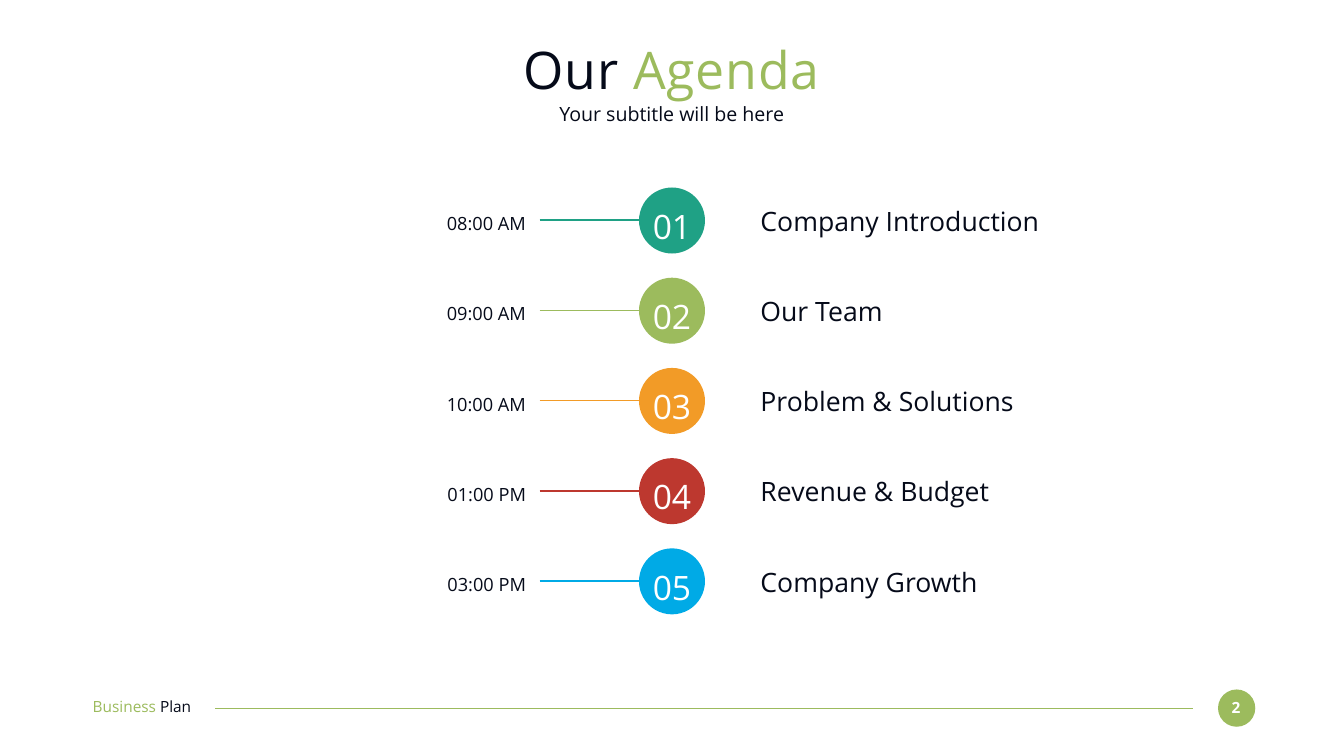
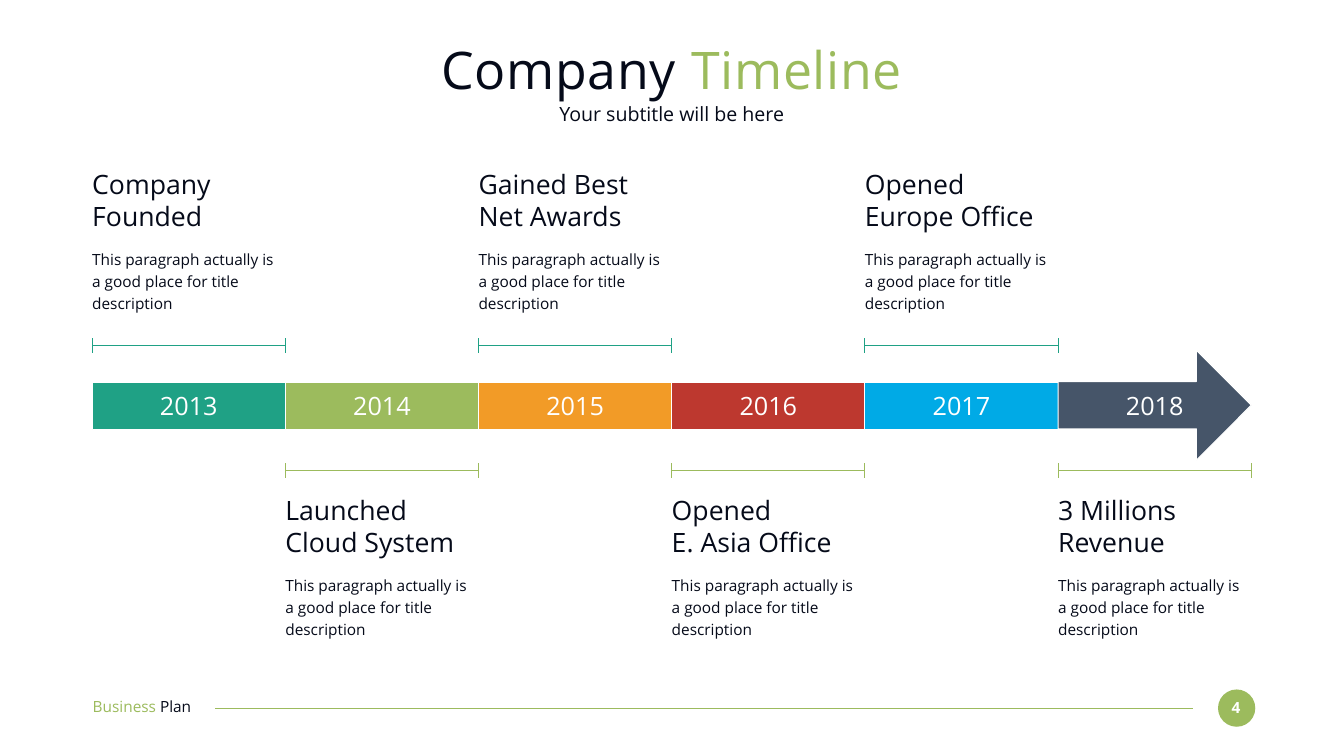
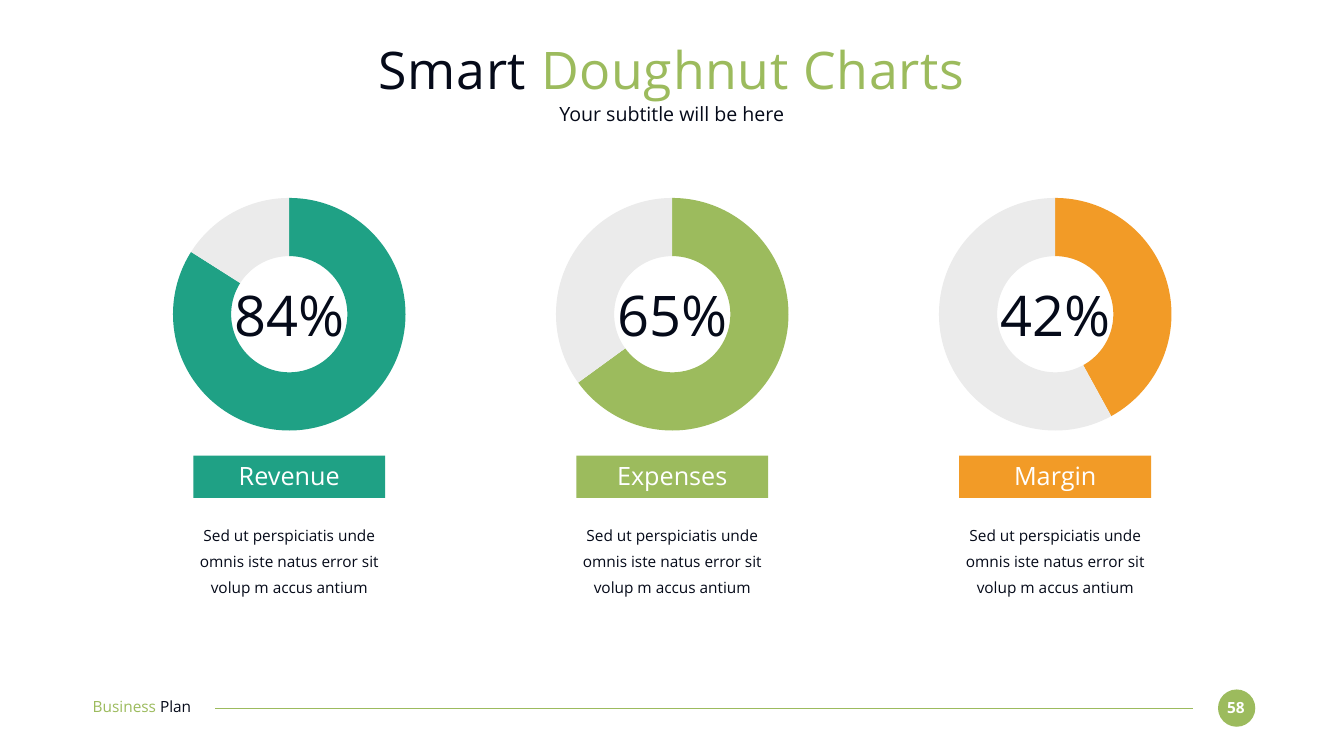
"""Build three business plan slides: agenda, timeline and doughnut charts."""
from lxml.etree import SubElement
from pptx import Presentation
from pptx.chart.data import CategoryChartData
from pptx.dml.color import RGBColor
from pptx.enum.chart import XL_CHART_TYPE as ChartType
from pptx.enum.shapes import MSO_CONNECTOR as Connector, MSO_SHAPE as Preset
from pptx.enum.text import MSO_ANCHOR as Anchor, MSO_AUTO_SIZE as AutoSize, PP_ALIGN as Align
from pptx.oxml.ns import qn
from pptx.util import Inches, Pt

COLORS = {
    "ink": "050A19", "white": "FFFFFF", "teal": "1FA185", "green": "9CBB5D",
    "orange": "F29B27", "red": "BD382F", "blue": "00AAE6", "slate": "465569",
    "track": "EBEBEB", "grey": "999999",
}
FONT = "Open Sans"
LEFT, WIDTH = 1.83, 23


def color(name):
    return RGBColor.from_string(COLORS[name])


def centered(center, top, width, height):
    return center - width / 2, top, width, height


class Deck:
    def __init__(self):
        self.presentation = Presentation()
        self.presentation.slide_width = Inches(26.67)
        self.presentation.slide_height = Inches(15)
        self.slide = None

    def start(self, title, accent, number):
        layout = self.presentation.slide_layouts[5]
        self.slide = self.presentation.slides.add_slide(layout)
        self.shape(Preset.OVAL, (24.17, 13.68, 0.74, 0.74), "green")
        self.text((24.23, 13.85, 0.59, 0.37), number, 22, "white", Align.CENTER, bold=True)
        self.line((23.67, 14.05), (4.27, 14.05), "green", 1.5)
        self.text((1.84, 13.84, 2.59, 0.37), "Business ", 22, "green", tail=("Plan", "ink"))
        self.title(title, accent)
        self.text((LEFT, 2.03, WIDTH, 0.49), "Your subtitle will be here", 28, align=Align.CENTER)

    def title(self, title, accent):
        shape = self.slide.shapes.title
        shape.left, shape.top, shape.width, shape.height = map(
            Inches, (LEFT, 0.73, WIDTH, 1.27))
        text_frame = shape.text_frame
        self.fill_text(text_frame, title, 74, align=Align.CENTER, tail=(accent, "green"))
        text_frame.auto_size = AutoSize.NONE
        text_frame.vertical_anchor = Anchor.MIDDLE
        for run in text_frame.paragraphs[0].runs:
            run._r.get_or_add_rPr().set("spc", "100")

    def fill_text(self, text_frame, text, size, fill="ink", align=Align.LEFT,
                  spacing=None, bold=False, tail=None):
        text_frame.word_wrap = True
        text_frame.margin_left = text_frame.margin_right = 0
        text_frame.margin_top = text_frame.margin_bottom = 0
        text_frame.text = text
        if tail:
            text_frame.paragraphs[0].add_run().text = tail[0]
        for paragraph in text_frame.paragraphs:
            paragraph.alignment = align
            paragraph.line_spacing = spacing
            for run in paragraph.runs:
                run.font.name = FONT
                run.font.size = Pt(size)
                run.font.bold = bold
                run.font.color.rgb = color(fill)
        if tail:
            text_frame.paragraphs[0].runs[-1].font.color.rgb = color(tail[1])

    def text(self, box, text, size, fill="ink", align=Align.LEFT, **style):
        shape = self.slide.shapes.add_textbox(*map(Inches, box))
        self.fill_text(shape.text_frame, text, size, fill, align, **style)
        shape.text_frame.auto_size = AutoSize.SHAPE_TO_FIT_TEXT
        return shape

    def shape(self, preset, box, fill, outline=None):
        shape = self.slide.shapes.add_shape(preset, *map(Inches, box))
        shape.shadow.inherit = False
        shape.fill.solid()
        shape.fill.fore_color.rgb = color(fill)
        if outline:
            shape.line.color.rgb = color(outline)
            shape.line.width = Pt(1.5)
        else:
            shape.line.fill.background()
        return shape

    def line(self, start, end, stroke, width, parent=None):
        shapes = (parent or self.slide).shapes
        connector = shapes.add_connector(Connector.STRAIGHT, *map(Inches, (*start, *end)))
        connector.line.color.rgb = color(stroke)
        connector.line.width = Pt(width)
        SubElement(connector._element.spPr, qn("a:effectLst"))

    def bracket(self, left, right, middle, stroke):
        group = self.slide.shapes.add_group_shape()
        self.line((left, middle), (right, middle), stroke, 1.5, group)
        for end in (left, right):
            self.line((end, middle - 0.15), (end, middle + 0.14), stroke, 1.5, group)

    def doughnut(self, box, percent, fill):
        data = CategoryChartData()
        data.categories = ["1", "2"]
        data.add_series("Series 1", (percent, 100 - percent))
        chart = self.slide.shapes.add_chart(
            ChartType.DOUGHNUT, *map(Inches, box), data).chart
        chart.has_legend = chart.has_title = False
        chart.font.name = "Calibri"
        chart.font.size = Pt(10)
        chart.font.color.rgb = color("grey")
        plot = chart.plots[0]
        plot._element.find(qn("c:holeSize")).set("val", "88")
        for index, name in enumerate((fill, "track")):
            point = plot.series[0].points[index].format
            point.fill.solid()
            point.fill.fore_color.rgb = color(name)
            point.line.fill.background()


def agenda(deck):
    deck.start("Our ", "Agenda", "2")
    items = [
        ("08:00 AM", "Company Introduction", "teal"),
        ("09:00 AM", "Our Team", "green"),
        ("10:00 AM", "Problem & Solutions", "orange"),
        ("01:00 PM", "Revenue & Budget", "red"),
        ("03:00 PM", "Company Growth", "blue"),
    ]
    for index, (time, topic, fill) in enumerate(items):
        top = 3.72 + 1.79 * index
        middle = top + 0.65
        deck.shape(Preset.OVAL, (12.68, top, 1.31, 1.31), fill)
        deck.line((10.71, middle), (12.68, middle), fill, 2.25)
        deck.text((12.82, top + 0.2, 1.03, 0.97), f"{index + 1:02}", 48, "white",
                  Align.CENTER, spacing=1.2)
        deck.text((6.9, top + 0.41, 3.54, 0.53), time, 26, align=Align.RIGHT, spacing=1.2)
        deck.text((15.09, top + 0.34, 6.29, 0.64), topic, 38)


def timeline(deck):
    deck.start("Company ", "Timeline", "4")
    milestones = [
        ("2013", "Company Founded", "teal"),
        ("2014", "Launched Cloud System", "green"),
        ("2015", "Gained Best\nNet Awards", "orange"),
        ("2016", "Opened\nE. Asia Office", "red"),
        ("2017", "Opened\nEurope Office", "blue"),
        ("2018", "3 Millions\nRevenue", "slate"),
    ]
    step = WIDTH / len(milestones)
    lefts = [LEFT + step * index for index in range(len(milestones))]
    for left, (year, heading, fill) in zip(lefts, milestones):
        if left == lefts[-1]:
            arrow = deck.shape(Preset.RIGHT_ARROW, (left, 6.95, step, 2.18), fill, "white")
            arrow.adjustments[0] = 0.43
            arrow.adjustments[1] = 0.5
        else:
            deck.shape(Preset.RECTANGLE, (left, 7.58, step, 0.94), fill, "white")
    for index, (left, (year, heading, fill)) in enumerate(zip(lefts, milestones)):
        above = index % 2 == 0
        top = 3.34 if above else 9.8
        deck.text(centered(left + step / 2, 7.74, 1.79, 0.61), year, 36, "white", Align.CENTER)
        deck.bracket(left, left + step, 6.86 if above else 9.34, "teal" if above else "green")
        deck.text((left, top, step, 1.28), heading, 38)
        deck.text((left, top + 1.55, step, 1.33),
                  "This paragraph actually is a good place for title description", 22, spacing=1.2)


def doughnuts(deck):
    deck.start("Smart ", "Doughnut Charts", "58")
    measures = [("Revenue", 84, "teal"), ("Expenses", 65, "green"), ("Margin", 42, "orange")]
    for index, (name, percent, fill) in enumerate(measures):
        center = 5.74 + 7.6 * index
        deck.doughnut(centered(center, 3.62, 4.89, 5.23), percent, fill)
        deck.shape(Preset.RECTANGLE, centered(center, 9.04, 3.81, 0.84), fill)
        deck.text(centered(center, 9.13, 3.1, 0.61), name, 36, "white", Align.CENTER)
        description = deck.text(
            centered(center, 10.29, 4.31, 1.56),
            "Sed ut perspiciatis unde omnis iste natus error sit volup m accus antium",
            22, align=Align.CENTER, spacing=1.4)
        description.text_frame.paragraphs[0].space_after = Pt(36)
        deck.text(centered(center, 5.56, 2.38, 1.35), f"{percent}%", 80, align=Align.CENTER)


def main():
    deck = Deck()
    agenda(deck)
    timeline(deck)
    doughnuts(deck)
    deck.presentation.save("out.pptx")


if __name__ == "__main__":
    main()
